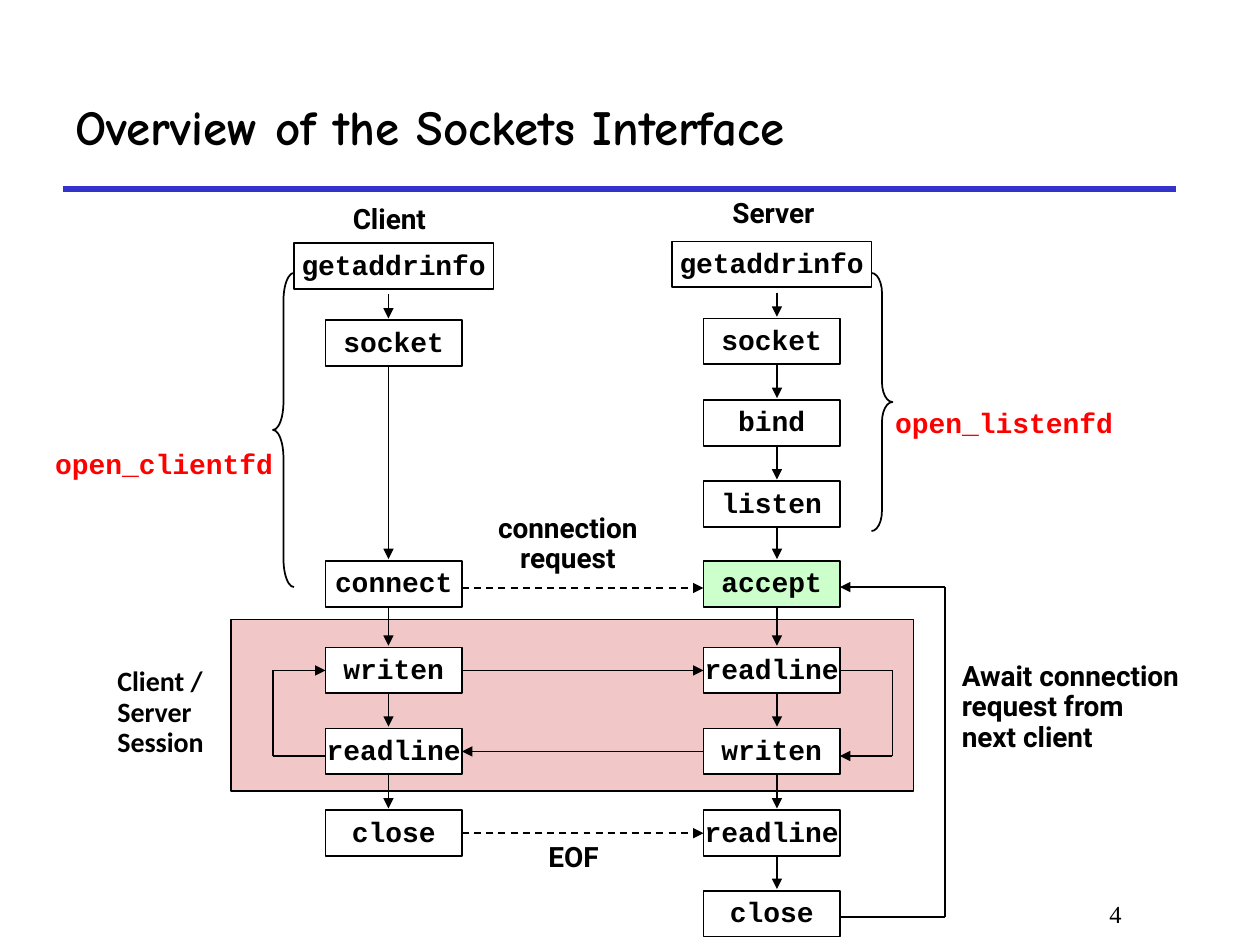
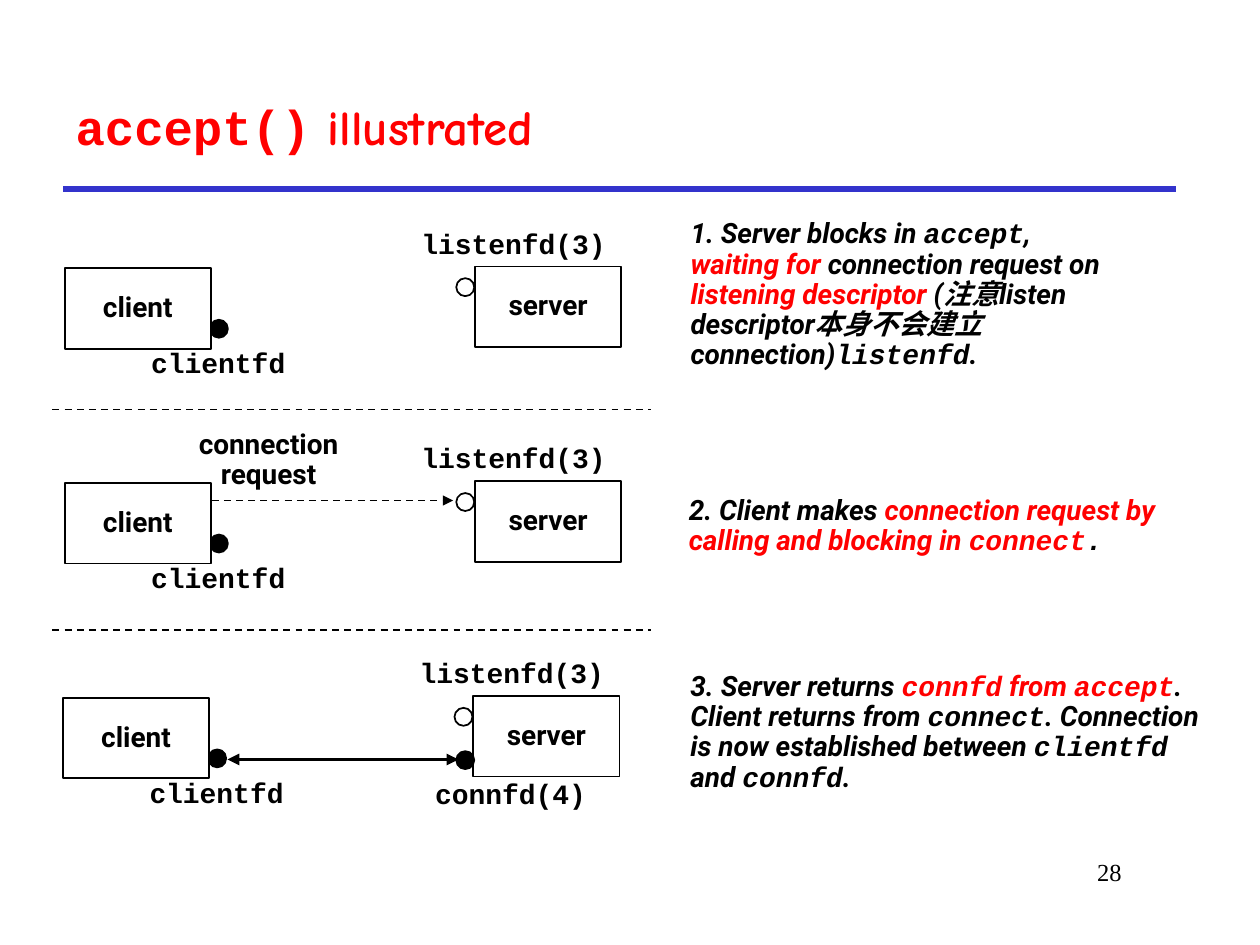
import itertools

import pptx
import pptx.dml.color
import pptx.enum.dml
import pptx.enum.shapes
import pptx.enum.text
import pptx.oxml.xmlchemy
import pptx.util

Pt = pptx.util.Pt
rgb = pptx.dml.color.RGBColor.from_string
SHAPE = pptx.enum.shapes.MSO_SHAPE
ALIGN = pptx.enum.text.PP_ALIGN
MIDDLE = pptx.enum.text.MSO_ANCHOR.MIDDLE

BLACK, WHITE, RED, RULE_BLUE = "000000", "FFFFFF", "FF0000", "3333CC"
ACCEPT_GREEN, SESSION_PINK = "CCFFCC", "F1C7C7"

LABEL = dict(name="Roboto", size=Pt(16), bold=True)
CODE = dict(LABEL, name="Courier New")
SESSION = dict(LABEL, name="Calibri")
NOTE = dict(LABEL, italic=True)
NOTE_CODE = dict(CODE, italic=True)
TITLE = dict(name="Comic Neue", size=Pt(28), bold=True)
TITLE_CODE = dict(TITLE, name="Courier New")
NUMBER = dict(name="Times New Roman", size=Pt(14), bold=False)


def put(slide, kind, at, lines=(), font=LABEL, colour=BLACK, fill=None,
        align=ALIGN.CENTER, wrap=False, anchor=MIDDLE, spacing=0.9):
    """Add a shape, a text box (kind None) or the title (kind "title").

    A line is a string in the given font, or a list of (text, font, colour) runs.
    """
    if kind == "title":
        item = slide.shapes.title
        item.left, item.top, item.width, item.height = map(Pt, at)
    elif kind is None:
        item = slide.shapes.add_textbox(*map(Pt, at))
    else:
        item = slide.shapes.add_shape(kind, *map(Pt, at))
        item.shadow.inherit = False
        item.line.color.rgb = rgb(BLACK)
        item.line.width = Pt(1)
        if fill:
            item.fill.solid()
            item.fill.fore_color.rgb = rgb(fill)
        else:
            item.fill.background()
    frame = item.text_frame
    frame.word_wrap = wrap
    frame.vertical_anchor = anchor
    for index, line in enumerate(lines):
        paragraph = frame.add_paragraph() if index else frame.paragraphs[0]
        paragraph.alignment = align
        paragraph.line_spacing = spacing
        runs = [(line, font, colour)] if isinstance(line, str) else line
        for text, run_font, run_colour in runs:
            run = paragraph.add_run()
            run.text = text
            for attribute, value in run_font.items():
                setattr(run.font, attribute, value)
            run.font.color.rgb = rgb(run_colour)
    return item


def draw_line(slide, start, end, ends=("tail",), dashed=False, width=1,
              colour=BLACK, begin=None, finish=None):
    """Draw a line; begin and finish are (shape, side) pairs to join."""
    line = slide.shapes.add_connector(
        pptx.enum.shapes.MSO_CONNECTOR.STRAIGHT, *map(Pt, start + end))
    if begin:
        line.begin_connect(*begin)
    if finish:
        line.end_connect(*finish)
    line.line.color.rgb = rgb(colour)
    line.line.width = Pt(width)
    if dashed:
        line.line.dash_style = pptx.enum.dml.MSO_LINE.DASH
    outline = line.line._get_or_add_ln()
    for name in ends:
        arrow = pptx.oxml.xmlchemy.OxmlElement(f"a:{name}End")
        arrow.set("type", "triangle")
        outline.append(arrow)
    line._element.spPr.append(pptx.oxml.xmlchemy.OxmlElement("a:effectLst"))


deck = pptx.Presentation()
deck.slide_width, deck.slide_height = Pt(720), Pt(540)

headings = [
    ([("Overview of the Sockets Interface", TITLE, BLACK)], "4", 510),
    ([("accept()", TITLE_CODE, RED), (" illustrated", TITLE, RED)], "28", 486),
]
for title, number, number_top in headings:
    slide = deck.slides.add_slide(deck.slide_layouts[5])
    draw_line(slide, (36, 108), (672, 108), ends=(), width=3, colour=RULE_BLUE)
    put(slide, "title", (36, 36, 636, 72), [title], align=ALIGN.LEFT,
        wrap=True, spacing=1)
    put(slide, None, (546, number_top, 102, 36), [number], NUMBER,
        align=ALIGN.RIGHT, wrap=True, anchor=pptx.enum.text.MSO_ANCHOR.TOP,
        spacing=1)
overview, illustrated = deck.slides

# Overview: the calls of each side, from top to bottom
put(overview, SHAPE.RECTANGLE, (132, 354, 390, 98), fill=SESSION_PINK)
put(overview, None, (60, 375, 66, 65), ["Client / Server", "Session"], SESSION,
    align=ALIGN.LEFT, wrap=True)

CALL_HEIGHT = 26.25
client_calls = [("getaddrinfo", 139), ("socket", 183), ("connect", 320.5),
                ("writen", 370), ("readline", 416.25), ("close", 463)]
server_calls = [("getaddrinfo", 138), ("socket", 182), ("bind", 228.5),
                ("listen", 275), ("accept", 320.5), ("readline", 370),
                ("writen", 416.25), ("readline", 463), ("close", 509)]
columns = []
for left, arrow_x, calls in [(186, 222, client_calls), (402, 444, server_calls)]:
    boxes = []
    for name, top in calls:
        overhang = 18 if name == "getaddrinfo" else 0
        boxes.append(put(
            overview, SHAPE.RECTANGLE,
            (left - overhang, top, 78 + 2 * overhang, CALL_HEIGHT), [name], CODE,
            fill=ACCEPT_GREEN if name == "accept" else WHITE))
    for (name, top), (_, next_top) in itertools.pairwise(calls):
        gap = 3 if name == "getaddrinfo" else 0
        draw_line(overview, (arrow_x, top + CALL_HEIGHT + gap),
                  (arrow_x, next_top - 1))
    columns.append(boxes)
client, server = columns

# Traffic between the two sides
draw_line(overview, (264, 336), (402, 336), dashed=True)
for sender, receiver, sender_side, receiver_side, dashed in [
        (client[3], server[5], 3, 1, False),
        (server[6], client[4], 1, 3, False),
        (client[5], server[7], 3, 1, True)]:
    draw_line(overview, (0, 0), (0, 0), dashed=dashed,
              begin=(sender, sender_side), finish=(receiver, receiver_side))

# Loops back to an earlier call, with the box sides they join
loops = [
    ([(480, 383.12), (510, 383.12), (510, 432), (480, 432)], (server[5], 3), None),
    ([(186, 432), (156, 432), (156, 383.12), (186, 383.12)], None, (client[3], 1)),
    ([(480, 524), (540, 524), (540, 335.5), (480, 335.5)], None, None),
]
for corners, begin, finish in loops:
    for step, (start, end) in enumerate(itertools.pairwise(corners)):
        draw_line(overview, start, end, ends=("tail",) if step == 2 else (),
                  begin=begin if step == 0 else None,
                  finish=finish if step == 2 else None)

for kind, at, bend in [(SHAPE.RIGHT_BRACE, (498, 156, 12, 147.5), 0.96),
                       (SHAPE.LEFT_BRACE, (156, 156, 12, 179.5), 1.33)]:
    put(overview, kind, at).adjustments[0] = bend

for at, lines, font, colour in [
        ((193, 112.5, 59, 26.5), ["Client"], LABEL, BLACK),
        ((410, 109.5, 64, 26.5), ["Server"], LABEL, BLACK),
        ((274.5, 288, 100, 46), ["connection", "request"], LABEL, BLACK),
        ((304, 477.5, 47.5, 26.5), ["EOF"], LABEL, BLACK),
        ((504, 229, 139.5, 26.5), ["open_listenfd"], CODE, RED),
        ((24, 253, 139.5, 26.5), ["open_clientfd"], CODE, RED)]:
    put(overview, None, at, lines, font, colour)
put(overview, None, (542.5, 372, 148, 65),
    ["Await connection", "request from", "next client"],
    align=ALIGN.LEFT, wrap=True)

# accept() in three scenes, one below the other
SCENE_STEP = 122.75
for scene in range(3):
    x = -1 if scene == 2 else 0
    y = scene * SCENE_STEP
    put(illustrated, SHAPE.OVAL, (260.75 + x, 159 + y, 10.25, 10.25), fill=WHITE)
    put(illustrated, SHAPE.OVAL, (120 + x, 182.75 + y, 10.25, 10.25), fill=BLACK)
    for name, left, top in [("client", 37, 153.25), ("server", 271.5, 152.25)]:
        put(illustrated, SHAPE.RECTANGLE, (left + x, top + y, 83.5, 46), [name],
            fill=WHITE)
    put(illustrated, None, (233.5 + x, 126.75 + y, 120, 26.5), ["listenfd(3)"], CODE)
    put(illustrated, None, (79 + x, 195 + y, 91.5, 26.5), ["clientfd"], CODE)

for divider_y in (234, 360):
    draw_line(illustrated, (30, divider_y), (372, divider_y), ends=(), dashed=True)

draw_line(illustrated, (121, 286), (259, 286), dashed=True)
put(illustrated, None, (103.5, 240, 100, 46), ["connection", "request"])

put(illustrated, SHAPE.OVAL, (260.75, 429.25, 10.25, 10.25), fill=BLACK)
put(illustrated, None, (241.25, 441.5, 101, 26.5), ["connfd(4)"], CODE)
draw_line(illustrated, (130, 434), (262, 434), ends=("head", "tail"), width=2.25)

explanations = [
    ((387.5, 121.5, 259, 94.5), [
        [("1. Server blocks in ", NOTE, BLACK), ("accept", NOTE_CODE, BLACK),
         (", ", NOTE, BLACK), ("waiting for", NOTE, RED),
         (" connection request on", NOTE, BLACK),
         (" listening descriptor", NOTE, RED),
         (" (注意listen descriptor本身不会建立connection)", NOTE, BLACK),
         ("listenfd", NOTE_CODE, BLACK), (".", NOTE, BLACK)]]),
    ((386.5, 278, 306, 46), [
        [("2. Client makes ", NOTE, BLACK), ("connection request by", NOTE, RED)],
        [("calling and blocking in ", NOTE, RED), ("connect", NOTE_CODE, RED),
         (".", NOTE_CODE, BLACK)]]),
    ((387.5, 376.5, 316, 84.5), [
        [("3. Server returns ", NOTE, BLACK), ("connfd", NOTE_CODE, RED),
         (" from ", NOTE, RED), ("accept", NOTE_CODE, RED), (".", NOTE, BLACK)],
        [("Client returns from ", NOTE, BLACK), ("connect", NOTE_CODE, BLACK),
         (". Connection is now established between ", NOTE, BLACK),
         ("clientfd", NOTE_CODE, BLACK), (" and ", NOTE, BLACK),
         ("connfd", NOTE_CODE, BLACK), (".", NOTE, BLACK)]]),
]
for at, lines in explanations:
    put(illustrated, None, at, lines, align=ALIGN.LEFT, wrap=True)

deck.save("out.pptx")
